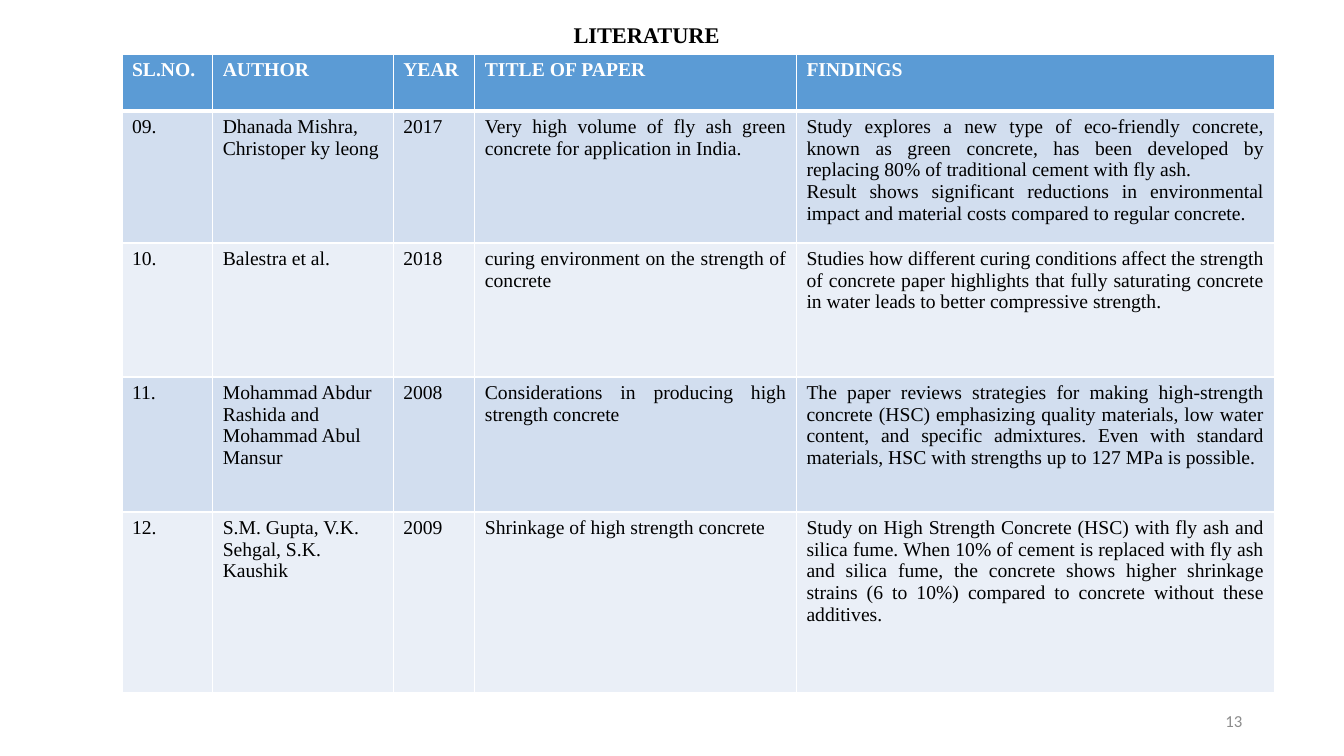
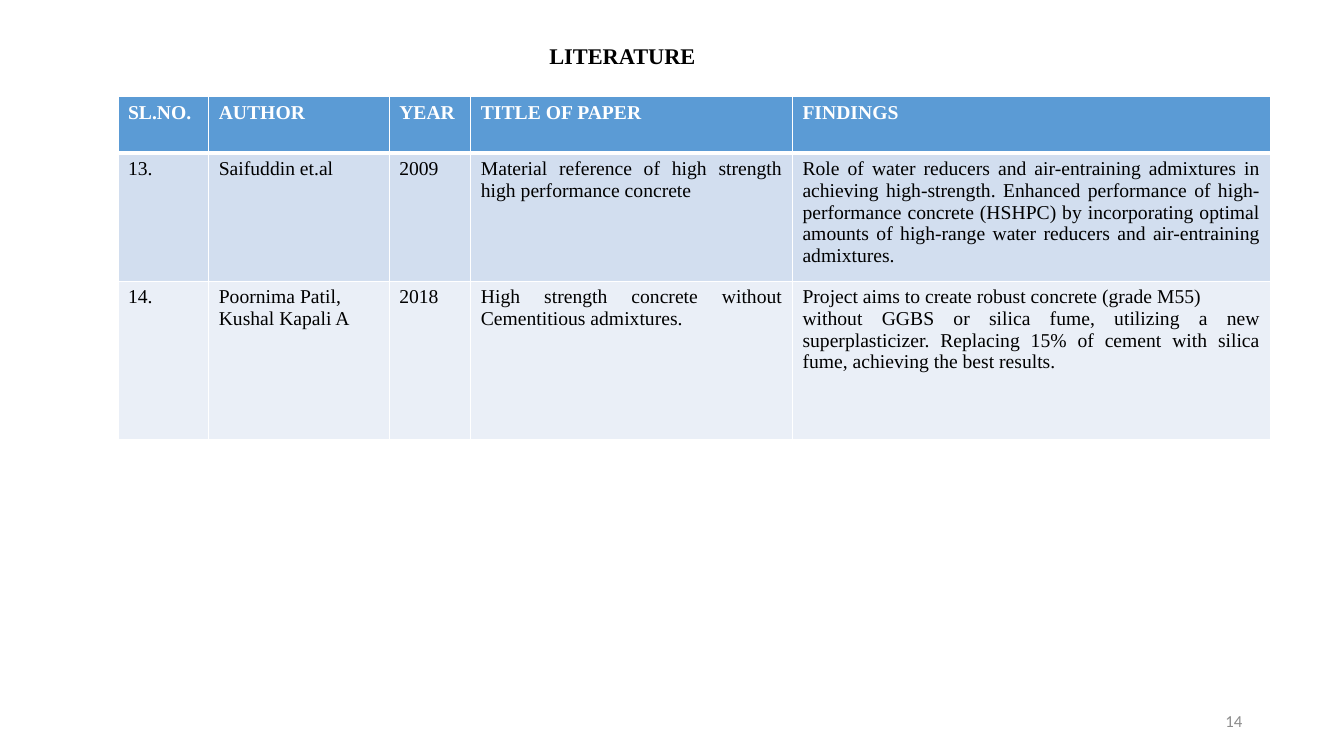
import pptx
import pptx.dml.color
import pptx.enum.text
import pptx.oxml.ns
import pptx.util
from lxml import etree
from pptx.util import Inches

ALIGN = pptx.enum.text.PP_ALIGN
ANCHOR = pptx.enum.text.MSO_ANCHOR


def colour(hex_string):
    return pptx.dml.color.RGBColor.from_string(hex_string)


def set_borders(cell, hex_string, widths):
    """Draw cell borders; widths maps the side (L, R, T, B, in that order) to points."""
    properties = cell._tc.get_or_add_tcPr()
    qn = pptx.oxml.ns.qn
    for side, points in widths.items():
        line = etree.SubElement(properties, qn(f"a:ln{side}"), w=str(pptx.util.Pt(points)))
        fill = etree.SubElement(line, qn("a:solidFill"))
        etree.SubElement(fill, qn("a:srgbClr"), val=hex_string)


class LiteratureDeck:
    SERIF, SANS = "Times New Roman", "Calibri"
    BLACK, WHITE, GREY = "000000", "FFFFFF", "8C8C8C"
    HEADER_FILL, ROW_FILLS = "5B9BD5", ("D2DEEF", "EAEFF7")
    HEADINGS = ("SL.NO.", "AUTHOR", "YEAR", "TITLE OF PAPER", "FINDINGS")
    COLUMN_WIDTHS = (0.9, 1.79, 0.81, 3.19, 4.74)
    HEADER_HEIGHT = 0.56
    JUSTIFIED_FROM = 3

    def __init__(self):
        self.deck = pptx.Presentation()
        self.deck.slide_width = Inches(13.33)
        self.deck.slide_height = Inches(7.5)
        self.page = None

    def add_page(self, number):
        self.page = self.deck.slides.add_slide(self.deck.slide_layouts[6])
        self.add_text(str(number), (9.42, 6.95, 3, 0.4), self.SANS, 12, self.GREY,
                      align=ALIGN.RIGHT, anchor=ANCHOR.MIDDLE)

    def style(self, frame, font, size, hex_string, bold=False, align=ALIGN.LEFT):
        for para in frame.paragraphs:
            para.alignment = align
            for span in para.runs:
                span.font.name = font
                span.font.size = pptx.util.Pt(size)
                span.font.bold = bold
                span.font.color.rgb = colour(hex_string)

    def add_text(self, text, place, font, size, hex_string, bold=False,
                 align=ALIGN.LEFT, anchor=ANCHOR.TOP):
        box = self.page.shapes.add_textbox(*map(Inches, place))
        frame = box.text_frame
        frame.word_wrap = True
        frame.vertical_anchor = anchor
        frame.text = text
        self.style(frame, font, size, hex_string, bold, align)

    def add_title(self, left, top):
        self.add_text("LITERATURE", (left, top, 2, 0.37), self.SERIF, 16, self.BLACK, bold=True)

    def fill_cell(self, cell, text, row, column):
        is_header = row == 0
        set_borders(cell, self.WHITE, {"L": 1, "R": 1, "T": 3 if row == 1 else 1,
                                       "B": 3 if is_header else 1})
        cell.fill.solid()
        cell.fill.fore_color.rgb = colour(
            self.HEADER_FILL if is_header else self.ROW_FILLS[(row - 1) % 2])
        cell.text_frame.text = text
        justified = not is_header and column >= self.JUSTIFIED_FROM
        self.style(cell.text_frame, self.SERIF, 14,
                   self.WHITE if is_header else self.BLACK, is_header,
                   ALIGN.JUSTIFY if justified else ALIGN.LEFT)

    def add_papers(self, left, top, papers, heights):
        rows = [self.HEADINGS, *papers]
        heights = [self.HEADER_HEIGHT, *heights]
        table = self.page.shapes.add_table(
            len(rows), len(self.HEADINGS), Inches(left), Inches(top),
            Inches(sum(self.COLUMN_WIDTHS)), Inches(sum(heights))).table
        for column, width in zip(table.columns, self.COLUMN_WIDTHS):
            column.width = Inches(width)
        for row, (texts, height) in enumerate(zip(rows, heights)):
            table.rows[row].height = Inches(height)
            for column, text in enumerate(texts):
                self.fill_cell(table.cell(row, column), text, row, column)


PAPERS_09_TO_12 = [
    ("09.", "Dhanada Mishra, Christoper ky leong", "2017",
     "Very high volume of fly ash green concrete for application in India.",
     "Study explores a new type of eco-friendly concrete, known as green concrete, "
     "has been developed by replacing 80% of traditional cement with fly ash.\n"
     "Result shows significant reductions in environmental impact and material costs "
     "compared to regular concrete."),
    ("10.", "Balestra et al.", "2018",
     "curing environment on the strength of concrete",
     "Studies how different curing conditions affect the strength of concrete paper "
     "highlights that fully saturating concrete in water leads to better compressive "
     "strength."),
    ("11.", "Mohammad Abdur Rashida and Mohammad Abul Mansur", "2008",
     "Considerations in producing high strength concrete",
     "The paper reviews strategies for making high-strength concrete (HSC) emphasizing "
     "quality materials, low water content, and specific admixtures. Even with standard "
     "materials, HSC with strengths up to 127 MPa is possible."),
    ("12.", "S.M. Gupta, V.K. Sehgal, S.K. Kaushik", "2009",
     "Shrinkage of high strength concrete",
     "Study on High Strength Concrete (HSC) with fly ash and silica fume. When 10% of "
     "cement is replaced with fly ash and silica fume, the concrete shows higher shrinkage "
     "strains (6 to 10%) compared to concrete without these additives."),
]

PAPERS_13_TO_14 = [
    ("13.", "Saifuddin et.al", "2009",
     "Material reference of high strength high performance concrete",
     "Role of water reducers and air-entraining admixtures in achieving high-strength. "
     "Enhanced performance of high-performance concrete (HSHPC) by incorporating optimal "
     "amounts of high-range water reducers and air-entraining admixtures."),
    ("14.", "Poornima Patil, Kushal Kapali A", "2018",
     "High strength concrete without Cementitious admixtures.",
     "Project aims to create robust concrete (grade M55)\n"
     "without GGBS or silica fume, utilizing a new superplasticizer. Replacing 15% of "
     "cement with silica fume, achieving the best results."),
]


def main():
    literature = LiteratureDeck()

    literature.add_page(13)
    literature.add_title(5.59, 0.16)
    literature.add_papers(1.21, 0.54, PAPERS_09_TO_12, (1.31, 1.33, 1.34, 1.79))

    literature.add_page(14)
    literature.add_title(5.35, 0.37)
    literature.add_papers(1.17, 0.96, PAPERS_13_TO_14, (1.27, 1.57))

    literature.deck.save("out.pptx")


if __name__ == "__main__":
    main()
